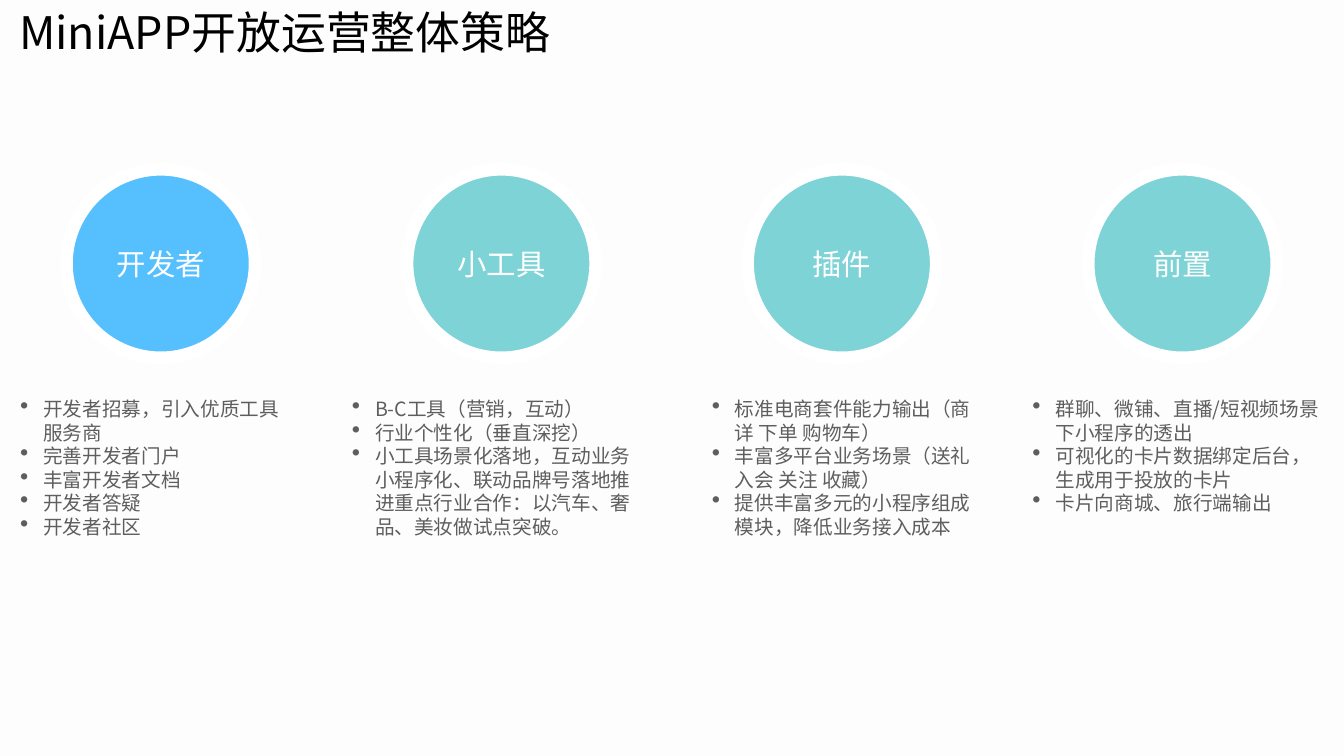
from lxml import etree
from pptx import Presentation
from pptx.dml.color import RGBColor
from pptx.enum.shapes import MSO_SHAPE
from pptx.enum.text import MSO_ANCHOR, MSO_AUTO_SIZE, PP_ALIGN
from pptx.oxml.ns import qn
from pptx.util import Inches, Pt

OVAL = MSO_SHAPE.OVAL
MIDDLE, TOP = MSO_ANCHOR.MIDDLE, MSO_ANCHOR.TOP
CENTER, LEFT = PP_ALIGN.CENTER, PP_ALIGN.LEFT
GROW, FIXED = MSO_AUTO_SIZE.SHAPE_TO_FIT_TEXT, MSO_AUTO_SIZE.NONE

PAPER = RGBColor(0xFD, 0xFD, 0xFD)
WHITE = RGBColor(0xFF, 0xFF, 0xFF)
BLACK = RGBColor(0, 0, 0)
GREY = RGBColor(0x5E, 0x5E, 0x5E)
BLUE = RGBColor(0x56, 0xC0, 0xFE)
TEAL = RGBColor(0x7D, 0xD3, 0xD6)

FONT = "Noto Sans CJK SC"
WIDE, HIGH = Inches(13.33), Inches(7.5)
PITCH = WIDE * 0.2534
FIRST = WIDE * 0.0495
DISC = Inches(1.87)
DISC_TOP = HIGH * 0.224
LIST_TOP = HIGH * 0.5173
INDENT = Inches(0.23)

TITLE = "MiniAPP开放运营整体策略"
TOPICS = [
    ("开发者", BLUE, 0.0105, 0.207, 0.204,
     ["开发者招募，引入优质工具服务商", "完善开发者门户", "丰富开发者文档",
      "开发者答疑", "开发者社区"]),
    ("小工具", TEAL, 0.2573, 0.231, 0.297,
     ["B-C工具（营销，互动）", "行业个性化（垂直深挖）",
      "小工具场景化落地，互动业务小程序化、联动品牌号落地推进重点行业合作："
      "以汽车、奢品、美妆做试点突破。"]),
    ("插件", TEAL, 0.5251, 0.2033, 0.204,
     ["标准电商套件能力输出（商详 下单 购物车）",
      "丰富多平台业务场景（送礼 入会 关注 收藏）",
      "提供丰富多元的小程序组成模块，降低业务接入成本"]),
    ("前置", TEAL, 0.7637, 0.231, 0.172,
     ["群聊、微铺、直播/短视频场景下小程序的透出",
      "可视化的卡片数据绑定后台，生成用于投放的卡片",
      "卡片向商城、旅行端输出"]),
]


def add_bullet(para):
    props = para._p.get_or_add_pPr()
    props.set("marL", str(INDENT))
    props.set("indent", str(-INDENT))
    etree.SubElement(props, qn("a:buSzPct")).set("val", "125000")
    etree.SubElement(props, qn("a:buChar")).set("char", "•")


def write(shape, lines, size, color, anchor=TOP, align=LEFT,
          auto=GROW, side=0.06, edge=0.06, bullet=False):
    frame = shape.text_frame
    look = {
        "word_wrap": True, "auto_size": auto, "vertical_anchor": anchor,
        "margin_left": Inches(side), "margin_right": Inches(side),
        "margin_top": Inches(edge), "margin_bottom": Inches(edge),
    }
    for name, value in look.items():
        setattr(frame, name, value)
    for index, line in enumerate(lines):
        para = frame.add_paragraph() if index else frame.paragraphs[0]
        para.alignment = align
        if bullet:
            add_bullet(para)
        run = para.add_run()
        run.text = line
        for name, value in {"name": FONT, "size": Pt(size)}.items():
            setattr(run.font, name, value)
        run.font.color.rgb = color
        east = etree.SubElement(run._r.get_or_add_rPr(), qn("a:ea"))
        east.set("typeface", FONT)


def add_box(slide, left, top, width, height):
    return slide.shapes.add_textbox(*map(int, (left, top, width, height)))


def add_disc(slide, column, label, color):
    left = FIRST + column * PITCH
    disc = slide.shapes.add_shape(OVAL, int(left), int(DISC_TOP), DISC, DISC)
    disc.shadow.inherit = False
    disc.fill.solid()
    disc.fill.fore_color.rgb = color
    disc.line.color.rgb = WHITE
    disc.line.width = Pt(9)
    write(disc, [label], 21, WHITE, MIDDLE, CENTER, FIXED)


def main():
    deck = Presentation()
    deck.slide_width, deck.slide_height = WIDE, HIGH
    slide = deck.slides.add_slide(deck.slide_layouts[6])
    slide.background.fill.solid()
    slide.background.fill.fore_color.rgb = PAPER

    title = add_box(slide, WIDE * 0.012, HIGH * -0.0013,
                    WIDE * 0.6047, HIGH * 0.0853)
    write(title, [TITLE], 32, BLACK, MIDDLE, side=0.03, edge=0.05)

    for column, (label, color, left, width, height, points) in enumerate(TOPICS):
        add_disc(slide, column, label, color)
        box = add_box(slide, WIDE * left, LIST_TOP, WIDE * width, HIGH * height)
        write(box, points, 14, GREY, bullet=True)
    deck.save("out.pptx")


if __name__ == "__main__":
    main()
